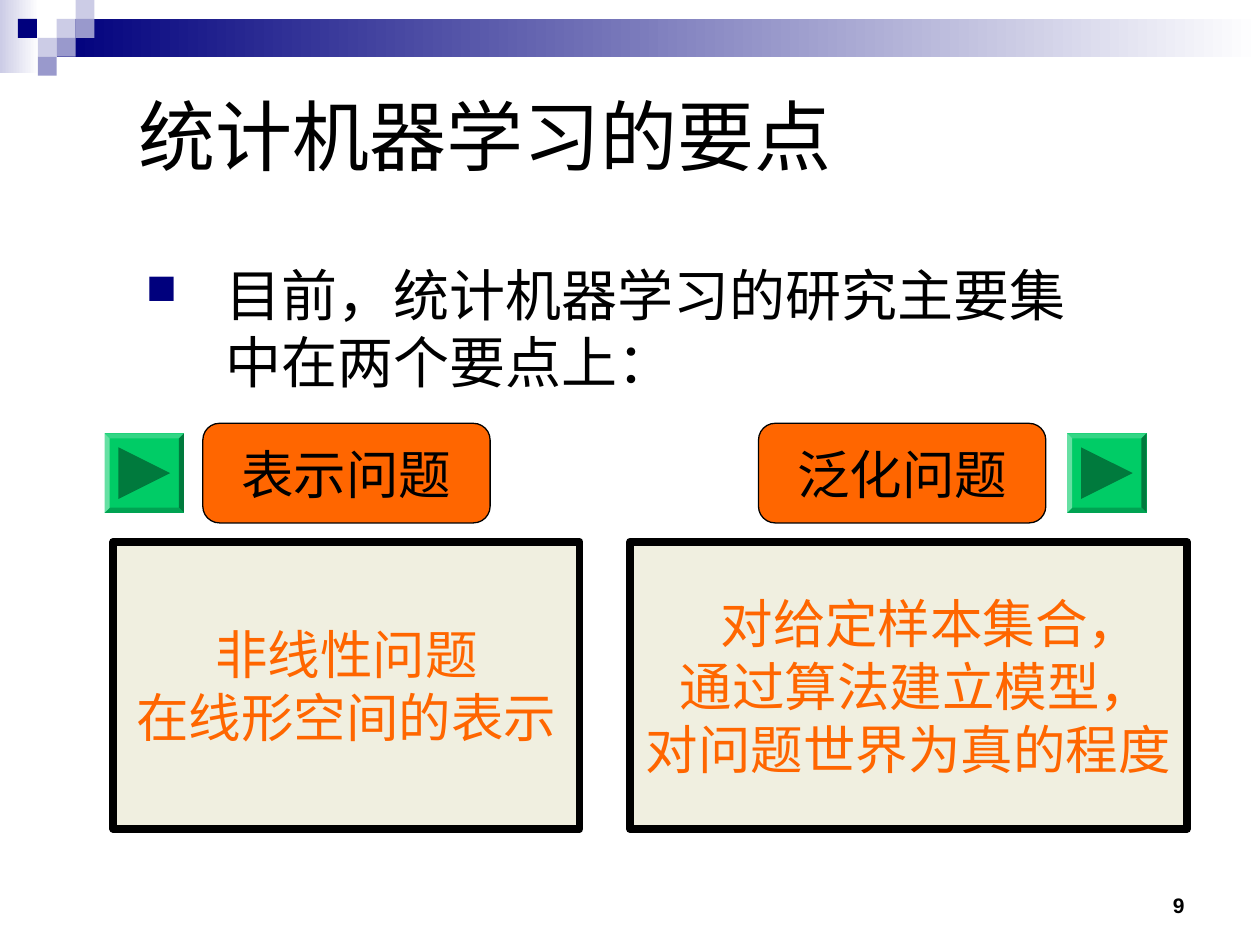
from lxml import etree
from pptx import Presentation
from pptx.dml.color import RGBColor
from pptx.enum import shapes, text
from pptx.oxml import ns
from pptx.util import Inches, Pt

BLACK = RGBColor(0x00, 0x00, 0x00)
WHITE = RGBColor(0xFF, 0xFF, 0xFF)
NAVY = RGBColor(0x00, 0x00, 0x7D)
LILAC = RGBColor(0xCC, 0xCC, 0xE6)
VIOLET = RGBColor(0x99, 0x99, 0xCC)
ORANGE = RGBColor(0xFF, 0x66, 0x00)
CREAM = RGBColor(0xF0, 0xEF, 0xE0)
GREEN = RGBColor(0x00, 0xCC, 0x66)
GREEN_PALE = RGBColor(0x66, 0xE0, 0xA3)
GREEN_LIGHT = RGBColor(0x33, 0xD6, 0x85)
GREEN_MID = RGBColor(0x00, 0xA3, 0x52)
GREEN_DARK = RGBColor(0x00, 0x7A, 0x3D)

RECT = shapes.MSO_SHAPE.RECTANGLE
ROUNDED = shapes.MSO_SHAPE.ROUNDED_RECTANGLE
LEFT, CENTER, RIGHT = text.PP_ALIGN.LEFT, text.PP_ALIGN.CENTER, text.PP_ALIGN.RIGHT
TOP, MIDDLE, BOTTOM = (text.MSO_ANCHOR.TOP, text.MSO_ANCHOR.MIDDLE,
                       text.MSO_ANCHOR.BOTTOM)


def write(sp, lines, size, color=BLACK, bold=False, align=LEFT, anchor=MIDDLE,
          wrap=True, margins=()):
    """Fill a shape with one formatted paragraph per line."""
    tf = sp.text_frame
    tf.word_wrap = wrap
    tf.auto_size = text.MSO_AUTO_SIZE.NONE
    tf.vertical_anchor = anchor
    for i, line in enumerate(lines):
        p = tf.add_paragraph() if i else tf.paragraphs[0]
        p.alignment = align
        if i < len(margins):
            p._p.get_or_add_pPr().set("marL", str(Inches(margins[i])))
        r = p.add_run()
        r.text = line
        r.font.name = "Arial"
        r.font.size = Pt(size)
        r.font.bold = bold
        r.font.color.rgb = color


def add_bullet(p, char, color, percent, indent):
    """Give a paragraph a coloured bullet with a hanging indent."""
    pPr = p._p.get_or_add_pPr()
    pPr.set("marL", str(Inches(indent)))
    pPr.set("indent", str(-Inches(indent)))
    clr = etree.SubElement(pPr, ns.qn("a:buClr"))
    etree.SubElement(clr, ns.qn("a:srgbClr")).set("val", str(color))
    etree.SubElement(pPr, ns.qn("a:buSzPct")).set("val", str(percent * 1000))
    etree.SubElement(pPr, ns.qn("a:buChar")).set("char", char)


def add_box(s, box, fill, kind=RECT, line=0):
    """Add a filled shape, outlined in black when a line width is given."""
    sp = s.shapes.add_shape(kind, *map(Inches, box))
    sp.shadow.inherit = False
    sp.fill.solid()
    sp.fill.fore_color.rgb = fill
    if line:
        sp.line.color.rgb = BLACK
        sp.line.width = Pt(line)
    else:
        sp.line.fill.background()
    return sp


def add_fade(s, box, color):
    """Add a rectangle fading from a colour to white, left to right."""
    sp = add_box(s, box, color)
    sp.fill.gradient()
    sp.fill.gradient_angle = 0
    for stop, shade in zip(sp.fill.gradient_stops, (color, WHITE)):
        stop.color.rgb = shade


def add_text(s, box, lines, size, **fmt):
    """Add a text box."""
    sp = s.shapes.add_textbox(*map(Inches, box))
    write(sp, lines, size, **fmt)
    return sp


def add_polygon(s, points, fill):
    """Add a closed, filled outline without a line."""
    points = [(Inches(x), Inches(y)) for x, y in points]
    fb = s.shapes.build_freeform(*points[0])
    fb.add_line_segments(points[1:], close=True)
    sp = fb.convert_to_shape()
    sp.shadow.inherit = False
    sp.fill.solid()
    sp.fill.fore_color.rgb = fill
    sp.line.fill.background()


def add_play_button(s, x, y, size=0.63, bevel=0.04):
    """Add a bevelled square button with a play triangle."""
    def corners(d):
        near, far = d, size - d
        return [(x + near, y + near), (x + far, y + near),
                (x + far, y + far), (x + near, y + far)]

    outer, inner = corners(0), corners(bevel)
    add_polygon(s, outer, GREEN)
    shades = (GREEN_LIGHT, GREEN_DARK, GREEN_MID, GREEN_PALE)
    for i, shade in enumerate(shades):
        j = (i + 1) % 4
        add_polygon(s, [outer[i], outer[j], inner[j], inner[i]], shade)
    add_polygon(s, [(x + 0.11, y + 0.11), (x + 0.52, y + size / 2),
                    (x + 0.11, y + 0.52)], GREEN_DARK)


def add_banner(s):
    """Add the fading bar and the small squares at the top."""
    add_fade(s, (0, 0, 0.31, 0.58), LILAC)
    add_fade(s, (0.45, 0.15, 9.55, 0.3), NAVY)
    unit = 0.15
    squares = [(3, 1, LILAC), (4, 0, LILAC), (4, 1, VIOLET), (2, 2, LILAC),
               (0.95, 1, NAVY), (3, 2, VIOLET), (2, 3, VIOLET)]
    for col, row, color in squares:
        add_box(s, (col * unit, row * unit, unit, unit), color)


def add_topic(s, label, label_x, lines, panel_x, panel_w, button_x, margins=()):
    """Add a topic label with its panel and button."""
    sp = add_box(s, (label_x, 3.36, 2.28, 0.79), ORANGE, ROUNDED, 0.75)
    write(sp, [label], 30, align=CENTER, wrap=False)
    sp = add_box(s, (panel_x, 4.3, panel_w, 2.28), CREAM, line=4.5)
    write(sp, lines, 30, color=ORANGE, align=CENTER, wrap=False, margins=margins)
    add_play_button(s, button_x, 3.44)


def main():
    """Build the slide and save it."""
    prs = Presentation()
    prs.slide_width, prs.slide_height = Inches(10), Inches(7.5)
    s = prs.slides.add_slide(prs.slide_layouts[5])
    add_banner(s)

    title = s.shapes.title
    title.left, title.top = Inches(1), Inches(0.58)
    title.width, title.height = Inches(7.83), Inches(0.98)
    write(title, ["统计机器学习的要点"], 44)

    sp = add_text(s, (1.06, 2.02, 7.88, 1.35),
                  ["目前，统计机器学习的研究主要集中在两个要点上："], 32, anchor=TOP)
    add_bullet(sp.text_frame.paragraphs[0], "■", NAVY, 75, 0.63)
    add_text(s, (7.17, 6.83, 2.33, 0.5), ["9"], 12, bold=True, align=RIGHT,
             anchor=BOTTOM)

    add_topic(s, "表示问题", 1.61, ["非线性问题", "在线形空间的表示"],
              0.9, 3.7, 0.83)
    add_topic(s, "泛化问题", 6.02,
              ["对给定样本集合，", "通过算法建立模型，", "对问题世界为真的程度"],
              5, 4.42, 8.47, margins=(0.35, 0.12))
    prs.save("out.pptx")


if __name__ == "__main__":
    main()
